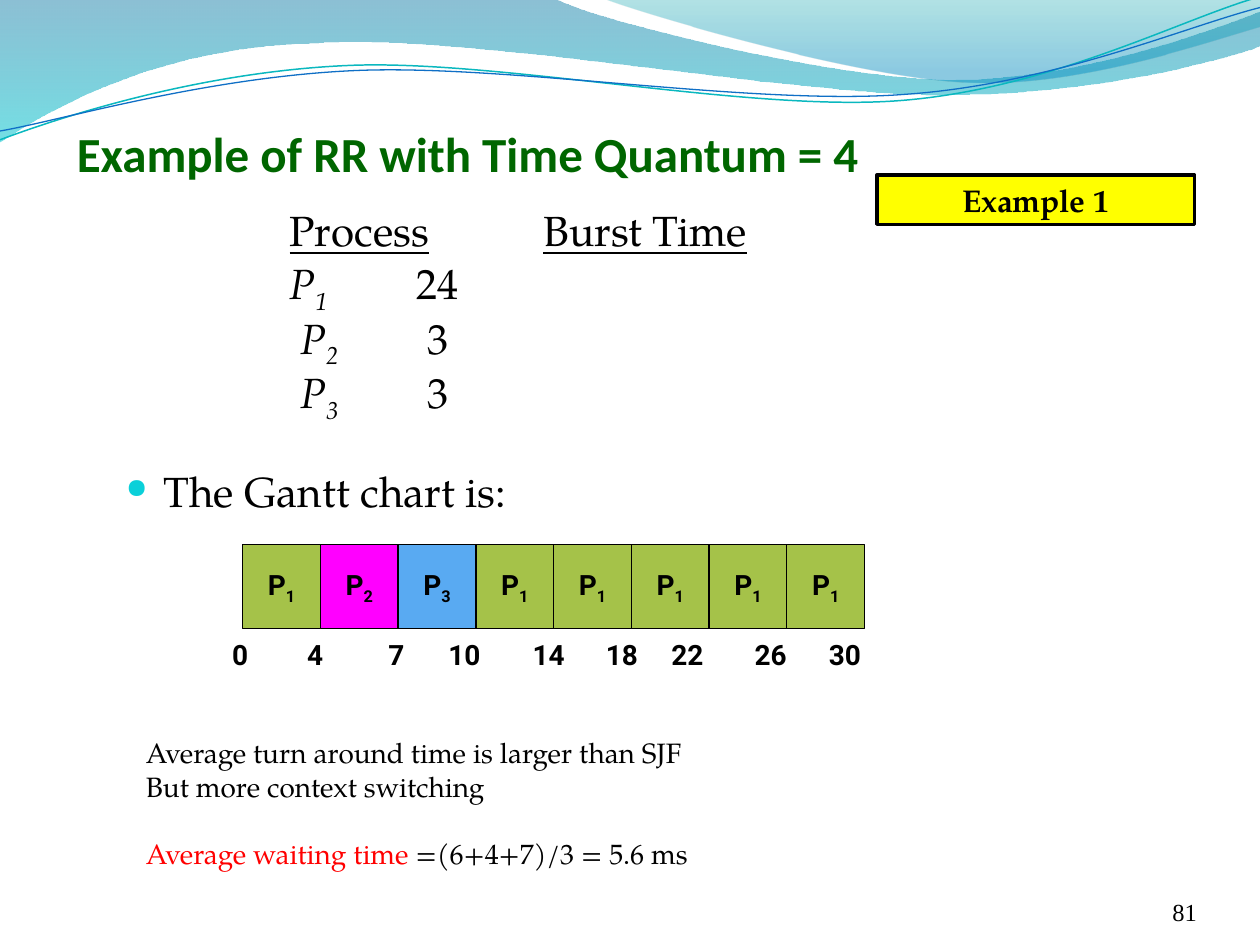
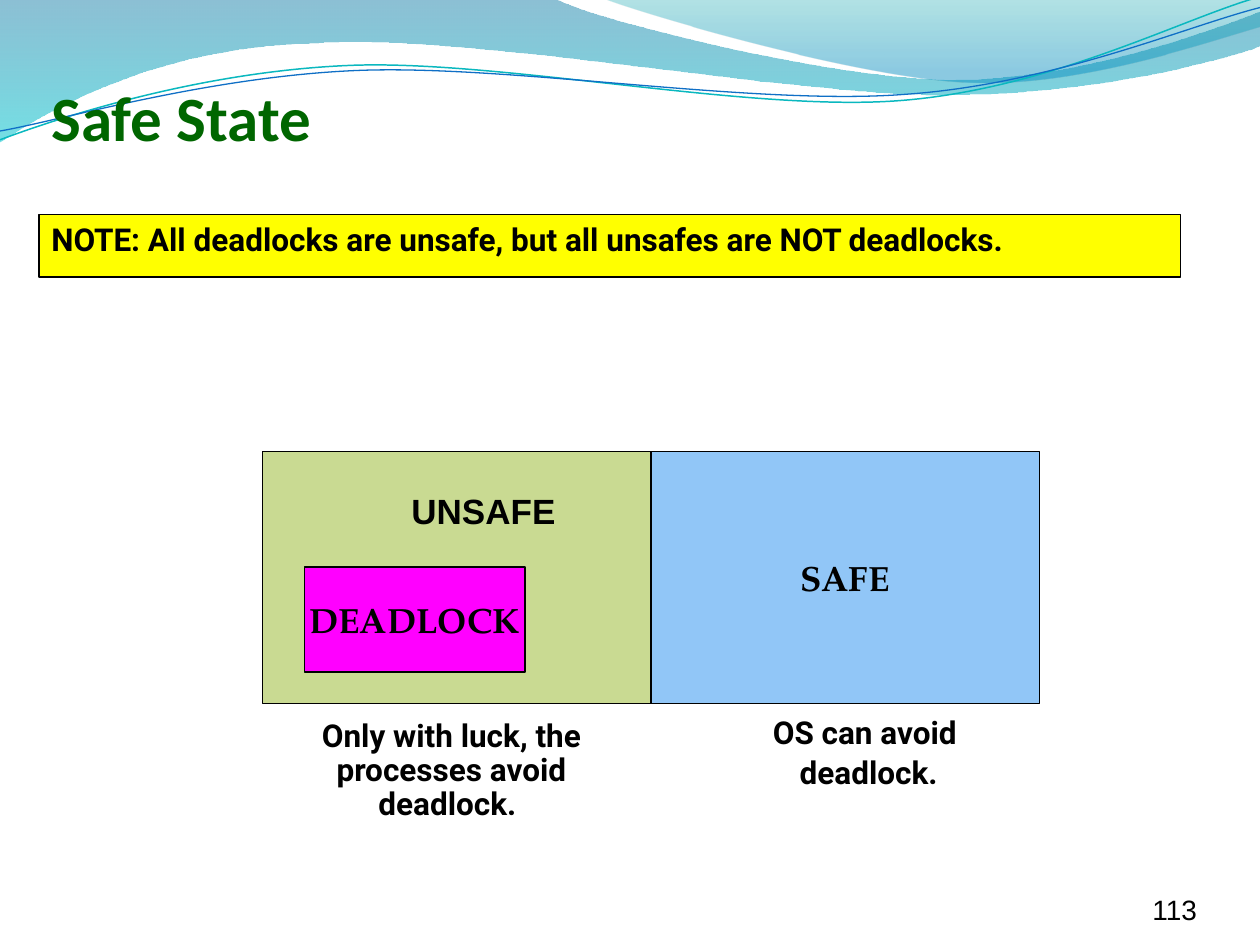
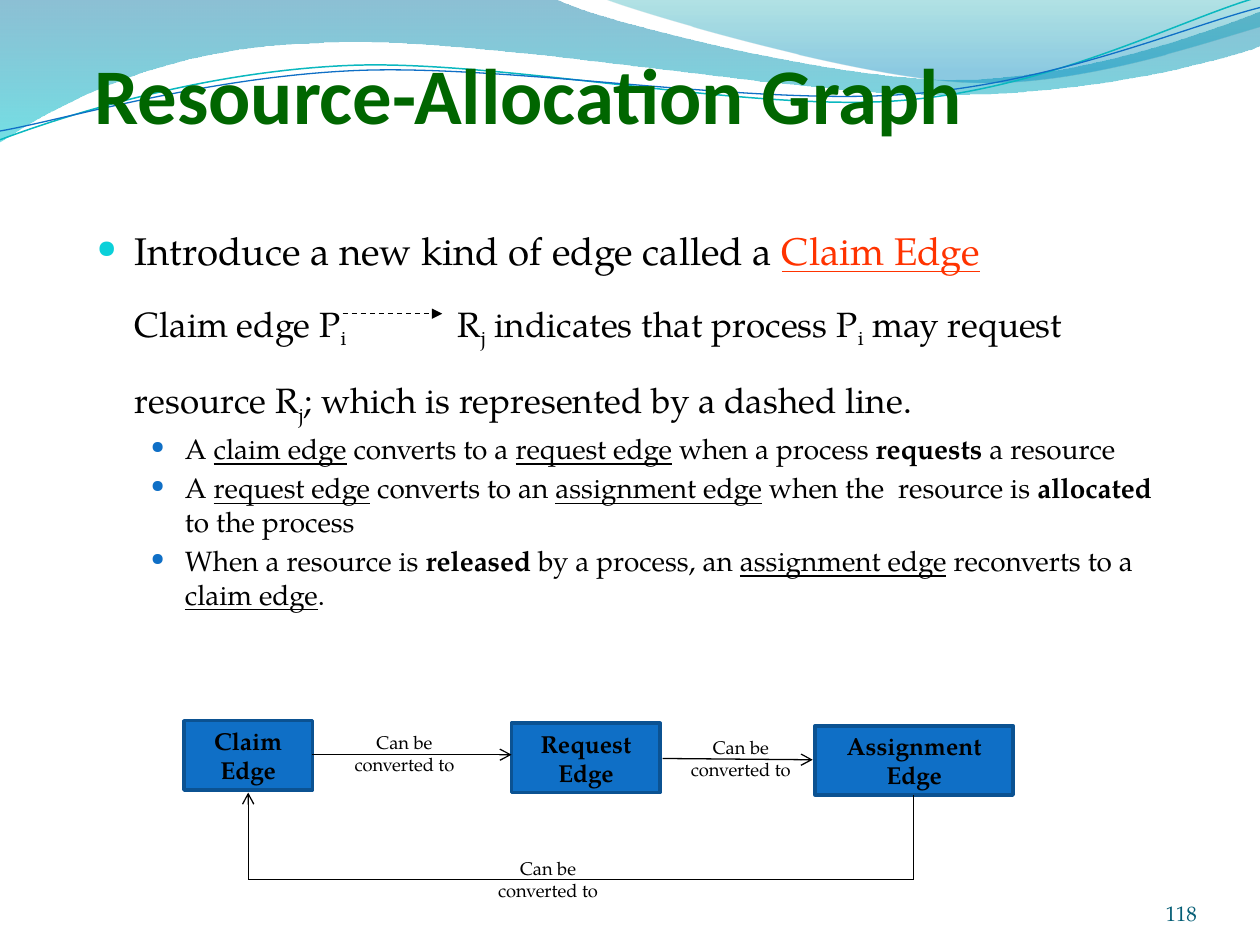
"""Build three slides on scheduling and deadlocks, laid out on a grid of 100 columns by 75 rows."""
import dataclasses
import pptx
import pptx.dml.color
import pptx.enum.dml
import pptx.enum.shapes
import pptx.enum.text
import pptx.oxml.ns
import pptx.util
from lxml import etree


@dataclasses.dataclass(frozen=True)
class Theme:
    black: str = "000000"
    green: str = "006600"
    red: str = "FF0000"
    claim: str = "FF3300"
    yellow: str = "FFFF00"
    pink: str = "FF00FF"
    olive: str = "A5C249"
    moss: str = "C9DA92"
    sky: str = "59AAF2"
    pale: str = "91C6F7"
    blue: str = "0F6FC6"
    navy: str = "0B5292"
    cyan: str = "0BD0D9"
    teal: str = "0AB8BF"
    deep: str = "045D75"
    serif: str = "TeX Gyre Pagella"
    sans: str = "Roboto"
    head: str = "Calibri"
    tiny: float = 10.5
    small: float = 14
    text: float = 16
    note: float = 18
    label: float = 20
    lead: float = 22
    body: float = 24.1


look = Theme()
deck = pptx.Presentation()
deck.slide_width = pptx.util.Inches(10)
deck.slide_height = pptx.util.Inches(7.5)
cell = deck.slide_width // 100
qn = pptx.oxml.ns.qn
rgb = pptx.dml.color.RGBColor.from_string
align = pptx.enum.text.PP_ALIGN
anchor = pptx.enum.text.MSO_ANCHOR
rect = pptx.enum.shapes.MSO_SHAPE.RECTANGLE

plain = dict(size=look.text, face=look.serif, color=look.black, bold=False, under=False,
             slant=False, base=0, gap=0, side=align.LEFT, anchor=anchor.TOP, wrap=True,
             inset=(1, 0.5, 1, 0.5), space=None, before=0, mark=None, left=0, hang=0,
             fill=None, line=None, width=0.75)


def put(page, text, at, **form):
    """Add a box; text is a string or a list of (paragraph format, run, ...) tuples."""
    form = plain | form
    spot = [round(n * cell) for n in at]
    if form["fill"]:
        box = page.shapes.add_shape(rect, *spot)
        box.shadow.inherit = False
        box.fill.solid()
        box.fill.fore_color.rgb = rgb(form["fill"])
        box.line.color.rgb = rgb(form["line"] or look.black)
        box.line.width = pptx.util.Pt(form["width"])
    else:
        box = page.shapes.add_textbox(*spot)
    if not text:
        return
    frame = box.text_frame
    frame.word_wrap = form["wrap"]
    frame.vertical_anchor = form["anchor"]
    (frame.margin_left, frame.margin_top, frame.margin_right,
     frame.margin_bottom) = [round(n * cell) for n in form["inset"]]
    if isinstance(text, str):
        text = [({}, part) for part in text.split("\n")]
    for rank, (own, *runs) in enumerate(text):
        para = frame.add_paragraph() if rank else frame.paragraphs[0]
        para_form = form | own
        para.alignment = para_form["side"]
        para.line_spacing = para_form["space"]
        para.space_before = pptx.util.Pt(para_form["before"])
        prop = para._p.get_or_add_pPr()
        prop.set("marL", str(round(para_form["left"] * cell)))
        prop.set("indent", str(round(-para_form["hang"] * cell)))
        if para_form["mark"]:
            tint, share = para_form["mark"]
            color = etree.SubElement(prop, qn("a:buClr"))
            etree.SubElement(color, qn("a:srgbClr"), val=tint)
            etree.SubElement(prop, qn("a:buSzPct"), val=str(share * 1000))
            etree.SubElement(prop, qn("a:buChar"), char="●")
        for piece in runs:
            words, extra = (piece, {}) if isinstance(piece, str) else piece
            if words == "\n":
                para.add_line_break()
                continue
            run_form = para_form | extra
            run = para.add_run()
            run.text = words
            font = run.font
            font.size = pptx.util.Pt(run_form["size"])
            font.name = run_form["face"]
            font.color.rgb = rgb(run_form["color"])
            font.bold = run_form["bold"]
            font.italic = run_form["slant"]
            font.underline = run_form["under"]
            for key, val in (("baseline", run_form["base"] * 1000), ("spc", run_form["gap"] * 100)):
                if val:
                    run._r.get_or_add_rPr().set(key, str(round(val)))


def link(page, start, end, tip=None, dash=False):
    """Add a straight line with an optional arrowhead at its end."""
    wire = page.shapes.add_connector(pptx.enum.shapes.MSO_CONNECTOR.STRAIGHT,
                                     *[round(n * cell) for n in (*start, *end)])
    wire.line.color.rgb = rgb(look.black)
    wire.line.width = pptx.util.Pt(0.75)
    if dash:
        wire.line.dash_style = pptx.enum.dml.MSO_LINE.DASH
    if tip:
        etree.SubElement(wire.line._get_or_add_ln(), qn("a:tailEnd"), type=tip)
    etree.SubElement(wire._element.spPr, qn("a:effectLst"))


waves = [
    ([(0, 0), (44, -0.1), (47.6, 1.7, 66.4, 6.3, 75.8, 6.3), (85.3, 6.3, 95.8, 2.6, 100, 0.9),
      (100.1, 3.6), (98.3, 4.4, 87, 7.6, 74.6, 7.5), (62.2, 7.5, 38.2, 2.8, 25.7, 3.4),
      (12.9, 3.6, 4.6, 8.3, -0.1, 11.3)], [("0074A1", 0, 45), ("00C6CF", 1, 55)], None),
    ([(47.9, -0.1), (50.9, 1.1, 68.2, 6.2, 76.9, 6.5), (85.6, 6.9, 96.1, 3.2, 100, 2.1),
      (100, 0)], [("00A1A9", 0, 30), ("008BBF", 0.8, 45)], None),
    ([(0, 11.1), (4.8, 9.3, 15.8, 5.7, 27.7, 5.2), (39.5, 4.7, 59.3, 8.9, 71.3, 8),
      (83.3, 7.1, 93.8, 1.5, 99.8, -0.2)], None, (look.teal, 0.85)),
    ([(0, 10.4), (4.7, 9.6, 16.4, 6.1, 28.3, 5.6), (40.3, 5.1, 59.7, 8.4, 71.7, 7.5),
      (83.6, 6.7, 94.1, 2.1, 100, 0.6)], None, (look.blue, 0.75)),
]
pages = [deck.slides.add_slide(deck.slide_layouts[6]) for _ in range(3)]
for page in pages:
    for parts, grade, edge in waves:
        dots = [(part[n] * cell, part[n + 1] * cell)
                for part in parts for n in range(0, len(part), 2)]
        path = page.shapes.build_freeform(*dots[0])
        path.add_line_segments(dots[1:], close=bool(grade))
        wave = path.convert_to_shape()
        wave.shadow.inherit = False
        legs = iter(list(wave._element.iter(qn("a:lnTo"))))
        for part in parts[1:]:
            leg = next(legs)
            if len(part) == 6:
                leg.tag = qn("a:cubicBezTo")
                for _ in range(2):
                    rest = next(legs)
                    leg.append(rest[0])
                    rest.getparent().remove(rest)
        if grade:
            wave.line.fill.background()
            wave.fill.gradient()
            wave.fill.gradient_angle = 270
            for stop, (tint, place, alpha) in zip(wave.fill.gradient_stops, grade):
                stop.color.rgb = rgb(tint)
                stop.position = place
                color = stop._gs.find(qn("a:srgbClr"))
                etree.SubElement(color, qn("a:alpha"), val=str(alpha * 1000))
        else:
            wave.fill.background()
            wave.line.color.rgb = rgb(edge[0])
            wave.line.width = pptx.util.Pt(edge[1])

heads = [
    ("Example of RR with Time Quantum = 4", (6.1, 5.3, 88.1, 9.2), 28, anchor.BOTTOM, (0, 0.5, 0, 0)),
    ("Safe State", (3.1, 5.7, 90.6, 7.1), 36, anchor.TOP, plain["inset"]),
    ("Resource-Allocation Graph", (7.5, 4.4, 88.3, 6.7), 45, anchor.BOTTOM, (0, 0.5, 0, 0)),
]
feet = [("81", 14, "Times New Roman", look.black), ("113", 16, "Arial", look.black),
        ("118", 12, look.serif, look.deep)]
for page, (title, at, size, hold, inset), (count, small, face, tint) in zip(pages, heads, feet):
    put(page, title, at, size=size, face=look.head, color=look.green, bold=True,
        anchor=hold, inset=inset)
    put(page, count, (86.7, 69.5, 8.3, 4), size=small, face=face, color=tint,
        side=align.RIGHT, anchor=anchor.BOTTOM, inset=(0, 0, 0, 0))

mid = dict(side=align.CENTER, anchor=anchor.MIDDLE)
strong = dict(face=look.sans, bold=True)
line = dict(under=True)
bold = dict(bold=True)
sub = dict(base=-25)

page = pages[0]
rows = [({"left": 13}, ("Process", line), (" ", {"gap": 59}), ("Burst Time", line))]
for job, burst, left in (("1", "24", 13), ("2", "3", 13.85), ("3", "3", 13.85)):
    rows.append(({"left": left}, ("P", {"slant": True}), (job, sub | {"slant": True}),
                 (" ", {"gap": 45}), burst))
rows.append(({"mark": (look.cyan, 65), "left": 3, "hang": 3, "before": 32.5}, "The Gantt chart is:"))
put(page, rows, (9, 16.5, 80.4, 44.6), size=look.body, space=0.8, before=4.8)
tints = {"1": look.olive, "2": look.pink, "3": look.sky}
for rank, job in enumerate("12311111"):
    put(page, [({}, "P", (job, sub))], (19.26 + 6.17 * rank, 43.2, 6.17, 6.7),
        fill=tints[job], **strong, **mid)
times = {"0": 19.05, "4": 25, "7": 31.45, "10": 36.85, "14": 43.55, "18": 49.35,
         "22": 54.55, "26": 61.15, "30": 67.05}
for time, x in times.items():
    put(page, time, (x - 2.25, 50.1, 4.5, 3.7), inset=(0, 0, 0, 0), **strong, **mid)
put(page, "Example 1", (69.6, 13.9, 25.2, 3.9), size=look.note, bold=True,
    fill=look.yellow, width=2, **mid)
put(page, [({}, "Average turn around time is larger than SJF"),
           ({}, "But more context switching"),
           ({"before": 19}, ("Average waiting time ", {"color": look.red}),
            "=(6+4+7)/3 = 5.6 ms")], (10.6, 57.9, 84.2, 12.6))

page = pages[1]
put(page, "NOTE: All deadlocks are unsafe, but all unsafes are NOT deadlocks.",
    (3.1, 17, 90.6, 5), size=look.note, fill=look.yellow, side=align.JUSTIFY, **strong)
for name, at, tint in (("SAFE", (51.67, 35.83, 30.83, 20), look.pale),
                       ("", (20.83, 35.83, 30.83, 20), look.moss),
                       ("DEADLOCK", (24.17, 45, 17.5, 8.33), look.pink)):
    put(page, name, at, size=look.label, bold=True, fill=tint, wrap=False, **mid)
put(page, "UNSAFE", (31.67, 38.33, 13.6, 4.4), size=look.label, face="Arial", bold=True, wrap=False)
for words, at in (("Only with luck, the processes avoid deadlock. ", (20.83, 56.7, 30, 9.2)),
                  ("OS can avoid \ndeadlock.", (59.6, 56.4, 18.7, 7.1))):
    put(page, words, at, size=look.note, space=0.9, before=3.6, side=align.CENTER, **strong)

page = pages[2]
item = dict(mark=(look.blue, 62), left=7, hang=2.7, before=3.2)
lead = dict(mark=(look.cyan, 65), left=3, hang=3, before=4.4, space=1.6, size=look.label)
put(page, [
    (lead, ("Introduce a new kind of edge called a ", {"size": look.lead}),
     ("Claim Edge", line | {"size": look.lead, "color": look.claim}), "\n",
     "Claim edge P", ("i", sub), (" ", {"gap": 58.5}), "R", ("j", sub),
     " indicates that process P", ("i", sub), " may request resource R", ("j", sub),
     "; which is represented by a dashed line."),
    (item, "A ", ("claim edge", line), " converts to a ", ("request edge", line),
     " when a process ", ("requests", bold), " a resource"),
    (item, "A ", ("request edge", line), " converts to an ", ("assignment edge", line),
     " when the  resource is ", ("allocated", bold), " to the process"),
    (item, "When a resource is ", ("released", bold), " by a process, an ",
     ("assignment edge", line), " reconverts to a ", ("claim edge", line), "."),
], (6.7, 15.35, 87.4, 56))
link(page, (27.2, 24.9), (35.1, 24.9), "triangle", dash=True)
for name, x, y, wide in (("Claim Edge", 14.6, 57.2, 10.2), ("Request Edge", 40.6, 57.4, 11.8),
                         ("Assignment Edge", 64.7, 57.6, 15.7)):
    put(page, name, (x, y, wide, 5.5), size=look.small, bold=True, fill=look.blue,
        line=look.navy, width=2, **mid)
for start, end, tip in (((24.8, 59.9), (40.6, 59.9), "arrow"), ((52.6, 60.2), (64.5, 60.3), "arrow"),
                        ((72.5, 63.1), (72.5, 69.8), None), ((72.5, 69.8), (19.7, 69.8), None),
                        ((19.7, 69.8), (19.7, 62.9), "arrow")):
    link(page, start, end, tip)
for x, y in ((26.4, 57.2), (53.1, 57.6), (37.8, 67.2)):
    put(page, "Can be converted to", (x, y, 11.4, 5.1), size=look.tiny, **mid)

deck.save("out.pptx")
